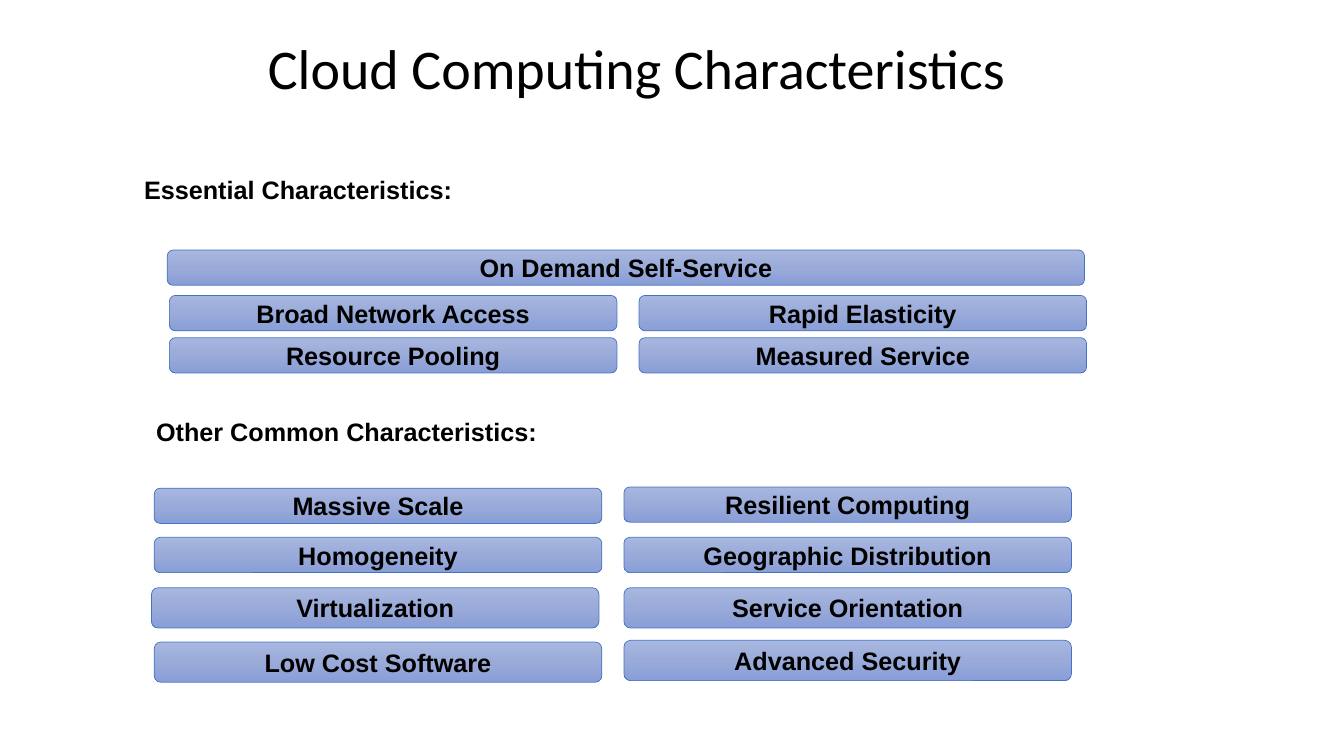
import copy
from dataclasses import dataclass

import pptx
import pptx.dml.color
import pptx.enum.shapes
import pptx.enum.text
import pptx.oxml.ns
import pptx.util

Pt = pptx.util.Pt
RGB = pptx.dml.color.RGBColor.from_string
ALIGN = pptx.enum.text.PP_ALIGN
ANCHOR = pptx.enum.text.MSO_ANCHOR

COLORS = {"text": "000000", "line": "4472C4",
          "top": "A8B7DF", "mid": "9AABD9", "low": "889ED7"}
STOPS = {"top": 0, "mid": 0.5, "low": 1}
BOLD = {"name": "Arial", "size": Pt(18), "bold": True}
LARGE = {"name": "Calibri", "size": Pt(40), "bold": False}
WIDE, HALF, STEP = 655.2, 319.7, 335.5
LOW, TALL = 25.2, 28.8


@dataclass
class Label:
    text: str
    left: float
    top: float
    width: float
    height: float


@dataclass
class Row:
    """Two bars side by side; shift and drop move the left one."""
    names: tuple[str, str]
    left: float
    top: float
    height: float = LOW
    shift: float = 0
    drop: float = 0

    def labels(self) -> list[Label]:
        first, second = self.names
        return [
            Label(first, self.left + self.shift, self.top + self.drop, HALF, self.height),
            Label(second, self.left + STEP, self.top, HALF, self.height),
        ]


TITLE = Label("Cloud Computing Characteristics", 184.3, 5.8, 760.3, 90)
HEADS = [
    Label("Essential Characteristics:", 95.8, 121, 236.9, 28.8),
    Label("Other Common Characteristics:", 104.4, 293.8, 289.4, 28.8),
]
FIRST = Label("On Demand Self-Service", 119.5, 178.6, WIDE, LOW)
ROWS = [
    Row(("Broad Network Access", "Rapid Elasticity"), 121, 211),
    Row(("Resource Pooling", "Measured Service"), 121, 241.2),
    Row(("Massive Scale", "Resilient Computing"), 110.2, 347.8, drop=0.9),
    Row(("Homogeneity", "Geographic Distribution"), 110.2, 383.8),
    Row(("Virtualization", "Service Orientation"), 110.2, 419.8, TALL, shift=-2),
    Row(("Low Cost Software", "Advanced Security"), 110.2, 457.4, TALL, drop=1.2),
]


def place(label: Label) -> list:
    return [Pt(n) for n in (label.left, label.top, label.width, label.height)]


def write(shape, text: str, style: dict, align, anchor, wrap: bool):
    frame = shape.text_frame
    frame.word_wrap = wrap
    frame.vertical_anchor = anchor
    para = frame.paragraphs[0]
    para.alignment = align
    run = para.add_run()
    run.text = text
    for key, value in style.items():
        setattr(run.font, key, value)
    run.font.color.rgb = RGB(COLORS["text"])
    return para


def shade(shape) -> None:
    """Fill with a three-stop gradient that darkens downwards."""
    fill = shape.fill
    fill.gradient()
    fill.gradient_angle = 270
    stops = shape.element.spPr.find(".//" + pptx.oxml.ns.qn("a:gsLst"))
    stops.insert(1, copy.deepcopy(stops[0]))
    for stop, (name, spot) in zip(fill.gradient_stops, STOPS.items()):
        stop.position = spot
        stop.color.rgb = RGB(COLORS[name])


def draw_bar(slide, label: Label) -> None:
    kind = pptx.enum.shapes.MSO_SHAPE.ROUNDED_RECTANGLE
    bar = slide.shapes.add_shape(kind, *place(label))
    bar.shadow.inherit = False
    shade(bar)
    bar.line.color.rgb = RGB(COLORS["line"])
    bar.line.width = Pt(0.5)
    write(bar, label.text, BOLD, ALIGN.CENTER, ANCHOR.MIDDLE, True)


def main() -> None:
    deck = pptx.Presentation()
    deck.slide_width, deck.slide_height = Pt(960), Pt(540)
    slide = deck.slides.add_slide(deck.slide_layouts[6])

    box = slide.shapes.add_textbox(*place(TITLE))
    para = write(box, TITLE.text, LARGE, ALIGN.LEFT, ANCHOR.MIDDLE, True)
    para.line_spacing = 0.9

    for head in HEADS:
        box = slide.shapes.add_textbox(*place(head))
        write(box, head.text, BOLD, ALIGN.LEFT, ANCHOR.TOP, False)
        box.text_frame.auto_size = pptx.enum.text.MSO_AUTO_SIZE.SHAPE_TO_FIT_TEXT

    draw_bar(slide, FIRST)
    for row in ROWS:
        for label in row.labels():
            draw_bar(slide, label)

    deck.save("out.pptx")


if __name__ == "__main__":
    main()
